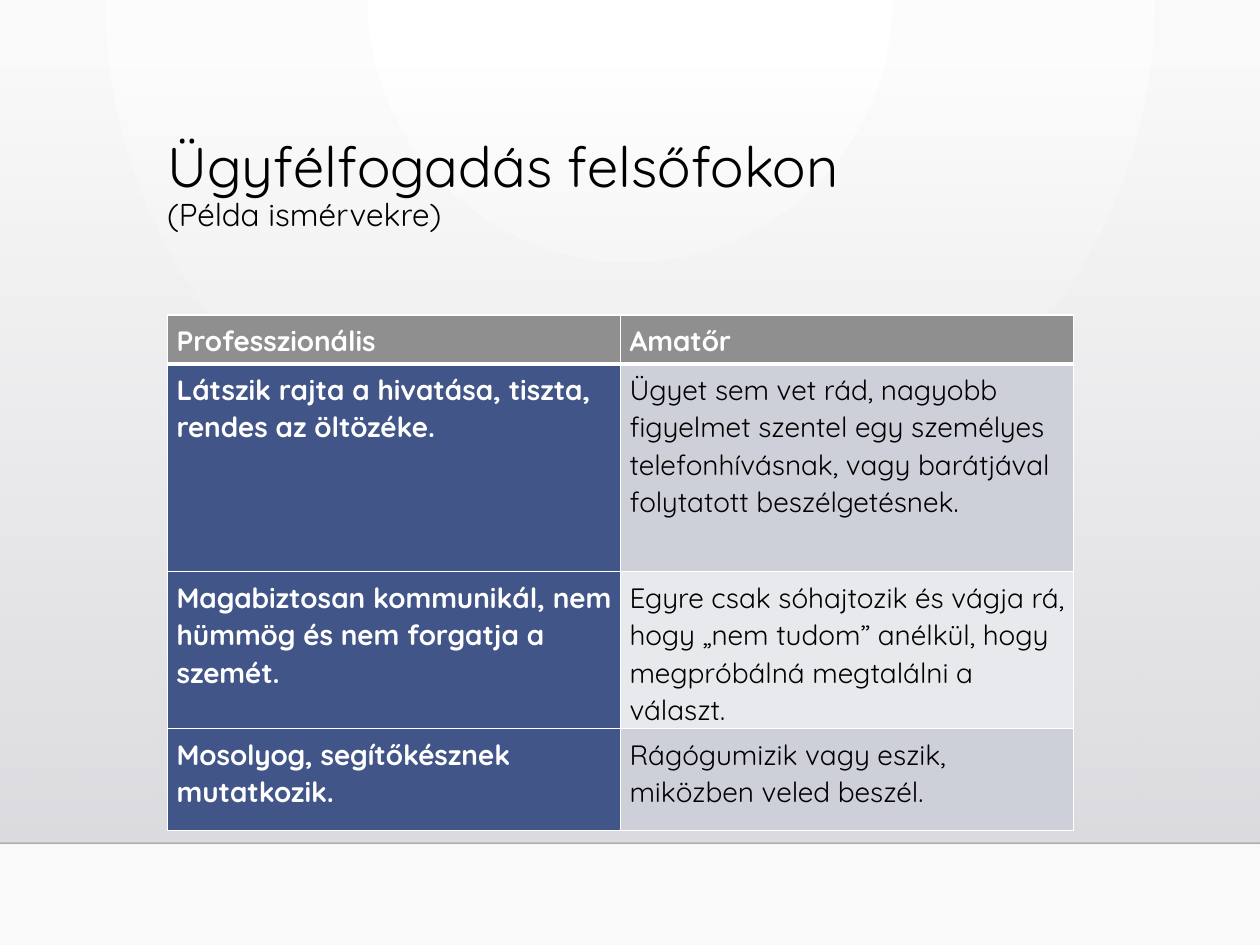
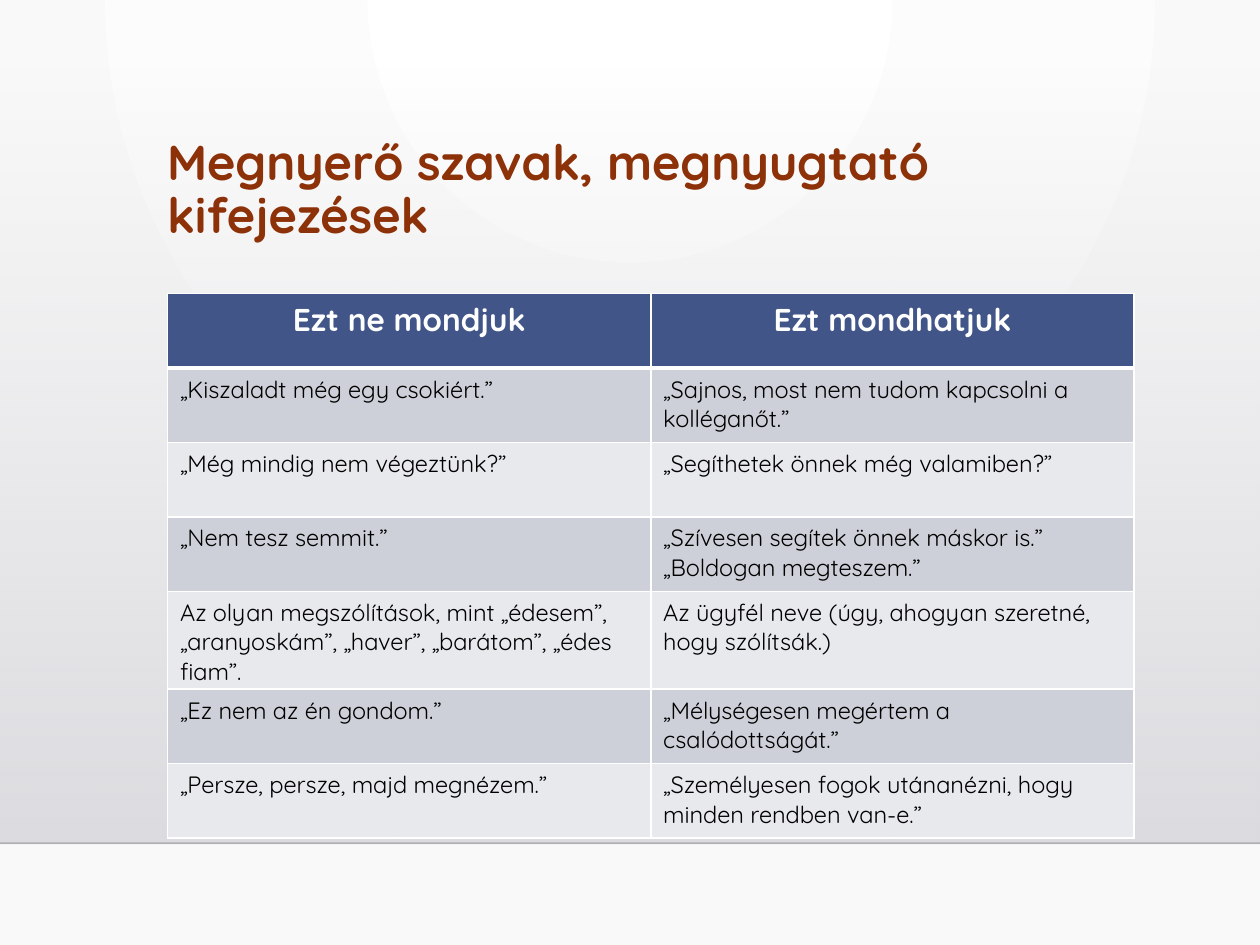
import pptx
import pptx.dml.color
import pptx.enum.shapes
import pptx.enum.text
import pptx.oxml
import pptx.oxml.ns
import pptx.util

Cm = pptx.util.Cm
Pt = pptx.util.Pt
FONT = "Quicksand"
WHITE, BLACK, BLUE, GREY, RUST = "FFFFFF", "000000", "415588", "8F8F8F", "8D3108"
BANDS = ["CED0D9", "E8E9ED"]
WIDE, HIGH = 25.4, 19.05
FLOOR = 17
LEFT = 3.38
NS = pptx.oxml.ns.nsdecls("a")


def hue(code):
    return pptx.dml.color.RGBColor.from_string(code)


def grade(first, last, alpha, shape):
    """Make a two-stop gradient fill; alpha is the opacity of the first stop."""
    return pptx.oxml.parse_xml(
        f'<a:gradFill {NS} rotWithShape="1"><a:gsLst>'
        f'<a:gs pos="0"><a:srgbClr val="{first}"><a:alpha val="{alpha}"/></a:srgbClr></a:gs>'
        f'<a:gs pos="100000"><a:srgbClr val="{last}"/></a:gs>'
        f'</a:gsLst>{shape}</a:gradFill>')


# Title runs are (text, size, bold, colour), one line each.
pages = [
    {
        "title": [("Ügyfélfogadás felsőfokon", 32, False, BLACK),
                  ("(Példa ismérvekre)", 18, False, BLACK)],
        "span": 18.26, "top": 6.35, "col": 9.13, "rows": [0.79, 4.19, 3.12, 2.06],
        "head": GREY, "side": True, "align": "LEFT",
        "sizes": (16, 16), "inset": 0.18, "lead": 1.07,
        "cells": [
            ("Professzionális", "Amatőr"),
            ("Látszik rajta a hivatása, tiszta, rendes az öltözéke.",
             "Ügyet sem vet rád, nagyobb figyelmet szentel egy személyes "
             "telefonhívásnak, vagy barátjával folytatott beszélgetésnek."),
            ("Magabiztosan kommunikál, nem hümmög és nem forgatja a szemét.",
             "Egyre csak sóhajtozik és vágja rá, hogy „nem tudom” anélkül, "
             "hogy megpróbálná megtalálni a választ."),
            ("Mosolyog, segítőkésznek mutatkozik.",
             "Rágógumizik vagy eszik, miközben veled beszél."),
        ],
    },
    {
        "title": [("Megnyerő szavak, megnyugtató kifejezések", 28, True, RUST)],
        "span": 20.57, "top": 5.92, "col": 9.74,
        "rows": [1.5, 1.5, 1.5, 1.5, 1.9, 1.5, 1.5],
        "head": BLUE, "side": False, "align": "CENTER",
        "sizes": (18, 13.5), "inset": 0.25, "lead": 1.0,
        "cells": [
            ("Ezt ne mondjuk", "Ezt mondhatjuk"),
            ("„Kiszaladt még egy csokiért.”",
             "„Sajnos, most nem tudom kapcsolni a kolléganőt.”"),
            ("„Még mindig nem végeztünk?”", "„Segíthetek önnek még valamiben?”"),
            ("„Nem tesz semmit.”",
             "„Szívesen segítek önnek máskor is.”\n„Boldogan megteszem.”"),
            ("Az olyan megszólítások, mint „édesem”, „aranyoskám”, „haver”, "
             "„barátom”, „édes fiam”.",
             "Az ügyfél neve (úgy, ahogyan szeretné, hogy szólítsák.)"),
            ("„Ez nem az én gondom.”", "„Mélységesen megértem a csalódottságát.”"),
            ("„Persze, persze, majd megnézem.”",
             "„Személyesen fogok utánanézni, hogy minden rendben van-e.”"),
        ],
    },
]

deck = pptx.Presentation()
deck.slide_width, deck.slide_height = Cm(WIDE), Cm(HIGH)
master = deck.slide_master
master.background.fill.solid()
back = master.element.xpath(".//p:bgPr")[0]
back.replace(back[0], grade(
    "FFFFFF", "F9F9F9", 100000,
    '<a:path path="circle"><a:fillToRect l="50000" t="0" r="50000" b="100000"/></a:path>'))

for page in pages:
    slide = deck.slides.add_slide(deck.slide_layouts[6])
    shapes = slide.shapes

    # Wall and floor line
    wall = shapes.add_shape(pptx.enum.shapes.MSO_SHAPE.RECTANGLE,
                            0, Cm(1.3), Cm(WIDE), Cm(FLOOR - 1.3))
    wall.shadow.inherit = False
    wall.line.fill.background()
    wall.fill.solid()
    solid = wall.element.spPr.find(pptx.oxml.ns.qn("a:solidFill"))
    wall.element.spPr.replace(
        solid, grade("DCDCE0", "DEDEE2", 0, '<a:lin ang="5400000" scaled="0"/>'))
    edge = shapes.add_connector(pptx.enum.shapes.MSO_CONNECTOR.STRAIGHT,
                                0, Cm(FLOOR), Cm(WIDE), Cm(FLOOR))
    edge.line.width = Pt(1)
    edge.line.color.rgb = hue("000001")
    tone = edge.element.spPr.xpath(".//a:srgbClr")[0]
    tone.append(pptx.oxml.parse_xml(f'<a:alpha {NS} val="20000"/>'))
    edge.element.spPr.append(pptx.oxml.parse_xml(f"<a:effectLst {NS}/>"))

    # Title
    frame = shapes.add_textbox(Cm(3.12), Cm(2.67), Cm(page["span"]), Cm(2.92)).text_frame
    frame.word_wrap = True
    para = frame.paragraphs[0]
    para.line_spacing = 0.9
    for i, (text, size, bold, colour) in enumerate(page["title"]):
        if i:
            para.add_line_break()
        run = para.add_run()
        run.text = text
        run.font.name, run.font.size, run.font.bold = FONT, Pt(size), bold
        run.font.color.rgb = hue(colour)

    # Table
    rows = page["rows"]
    table = shapes.add_table(len(rows), 2, Cm(LEFT), Cm(page["top"]),
                             Cm(2 * page["col"]), Cm(sum(rows))).table
    for col in table.columns:
        col.width = Cm(page["col"])
    for r, (height, texts) in enumerate(zip(rows, page["cells"])):
        table.rows[r].height = Cm(height)
        for c, text in enumerate(texts):
            cell = table.cell(r, c)
            strong = r == 0 or (page["side"] and c == 0)
            cell.margin_left = cell.margin_right = Cm(page["inset"])
            cell.margin_top = cell.margin_bottom = Cm(0.13)

            thick = {0: "B", 1: "T"}.get(r)
            for side in "LRTB":
                width = Pt(3 if side == thick else 0.96)
                cell._tc.get_or_add_tcPr().append(pptx.oxml.parse_xml(
                    f'<a:ln{side} {NS} w="{width}"><a:solidFill>'
                    f'<a:srgbClr val="{WHITE}"/></a:solidFill></a:ln{side}>'))
            cell.fill.solid()
            fill = page["head"] if r == 0 else BLUE if strong else BANDS[(r - 1) % 2]
            cell.fill.fore_color.rgb = hue(fill)

            for i, line in enumerate(text.split("\n")):
                frame = cell.text_frame
                para = frame.add_paragraph() if i else frame.paragraphs[0]
                para.line_spacing = page["lead"]
                if r == 0:
                    para.alignment = pptx.enum.text.PP_ALIGN[page["align"]]
                run = para.add_run()
                run.text = line
                run.font.name, run.font.bold = FONT, strong
                run.font.size = Pt(page["sizes"][min(r, 1)])
                run.font.color.rgb = hue(WHITE if strong else BLACK)

deck.save("out.pptx")
